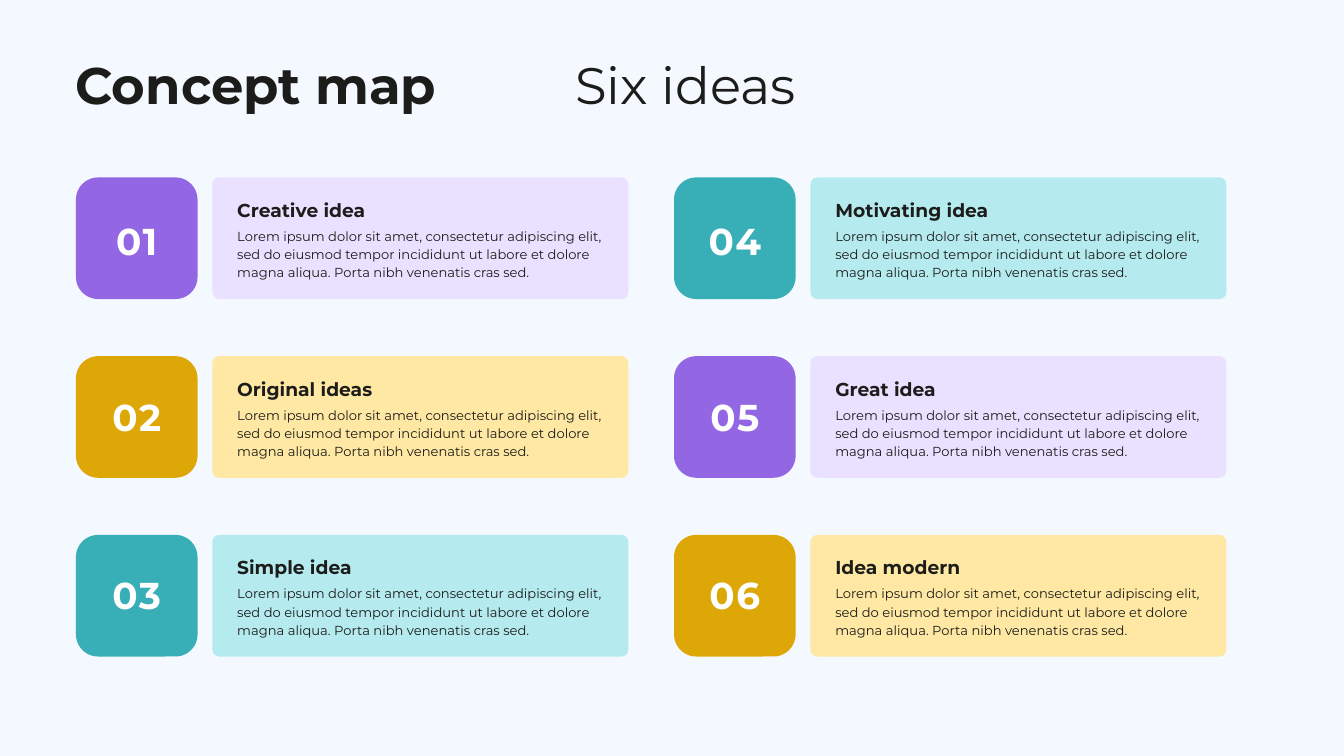
from dataclasses import dataclass

from pptx import Presentation
from pptx.dml.color import RGBColor
from pptx.enum.shapes import MSO_SHAPE
from pptx.enum.text import MSO_ANCHOR, MSO_AUTO_SIZE, PP_ALIGN
from pptx.util import Inches, Pt

FONT = "Montserrat"
INK, WHITE, BACKGROUND = "1C1C1A", "FFFFFF", "F4F8FF"
LOREM = (
    "Lorem ipsum dolor sit amet, consectetur adipiscing elit, sed do eiusmod "
    "tempor incididunt ut labore et dolore magna aliqua. "
    "Porta nibh venenatis cras sed."
)

# Grid of idea cards, in inches
LEFT, TOP = 1.13, 2.64
COL_STEP, ROW_STEP = 8.9, 2.66
BADGE = 1.81
PANEL_X, PANEL_W = 2.03, 6.19
TEXT_X = 2.4


@dataclass(frozen=True)
class Palette:
    strong: str
    soft: str


PURPLE = Palette("9366E4", "EAE0FF")
GOLD = Palette("DDA707", "FFE8A3")
TEAL = Palette("38AEB6", "B5EBEF")


@dataclass(frozen=True)
class Idea:
    col: int
    row: int
    title: str
    palette: Palette

    @property
    def number(self) -> str:
        return f"{self.col * 3 + self.row + 1:02d}"


IDEAS = [
    Idea(0, 0, "Creative idea", PURPLE),
    Idea(0, 1, "Original ideas", GOLD),
    Idea(0, 2, "Simple idea", TEAL),
    Idea(1, 0, "Motivating idea", TEAL),
    Idea(1, 1, "Great idea", PURPLE),
    Idea(1, 2, "Idea modern", GOLD),
]


def rgb(value: str) -> RGBColor:
    return RGBColor.from_string(value)


def add_text(s, text: str, x: float, y: float, w: float, h: float, *,
             size: float, leading: float, color: str = INK, bold: bool = False,
             align=PP_ALIGN.LEFT, spacing: float = 0, sp=None):
    """Write text into sp, or into a new text box, at the given place."""
    box = [Inches(v) for v in (x, y, w, h)]
    if sp is None:
        sp = s.shapes.add_textbox(*box)
    else:
        sp.left, sp.top, sp.width, sp.height = box
    tf = sp.text_frame
    tf.word_wrap = True
    tf.auto_size = MSO_AUTO_SIZE.NONE
    tf.vertical_anchor = MSO_ANCHOR.TOP
    tf.margin_left = tf.margin_right = tf.margin_top = tf.margin_bottom = 0
    p = tf.paragraphs[0]
    p.alignment = align
    p.line_spacing = Pt(leading)
    r = p.add_run()
    r.text = text
    r.font.name = FONT
    r.font.size = Pt(size)
    r.font.bold = bold
    r.font.color.rgb = rgb(color)
    if spacing:
        r._r.get_or_add_rPr().set("spc", str(round(spacing * 100)))
    return sp


def add_tile(s, x: float, y: float, w: float, h: float, fill: str, radius: float):
    sp = s.shapes.add_shape(MSO_SHAPE.ROUNDED_RECTANGLE,
                            Inches(x), Inches(y), Inches(w), Inches(h))
    sp.adjustments[0] = radius / min(w, h)
    sp.shadow.inherit = False
    sp.fill.solid()
    sp.fill.fore_color.rgb = rgb(fill)
    sp.line.fill.background()
    return sp


def add_idea(s, idea: Idea) -> None:
    x = LEFT + idea.col * COL_STEP
    y = TOP + idea.row * ROW_STEP
    number_drop = 0.5 if idea.row == 0 else 0.45
    add_tile(s, x, y, BADGE, BADGE, idea.palette.strong, radius=0.33)
    add_tile(s, x + PANEL_X, y, PANEL_W, BADGE, idea.palette.soft, radius=0.1)
    add_text(s, idea.number, x + 0.34, y + number_drop, 1.13, 0.73, size=40,
             leading=56, color=WHITE, bold=True, align=PP_ALIGN.CENTER, spacing=1.7)
    add_text(s, idea.title, x + TEXT_X, y + 0.26, 5.25, 0.36,
             size=20, leading=28, bold=True)
    add_text(s, LOREM, x + TEXT_X, y + 0.72, 5.45, 0.8, size=14, leading=19.6)


def main() -> None:
    prs = Presentation()
    prs.slide_width, prs.slide_height = Inches(20), Inches(11.25)
    s = prs.slides.add_slide(prs.slide_layouts[5])
    s.background.fill.solid()
    s.background.fill.fore_color.rgb = rgb(BACKGROUND)

    add_text(s, "Concept map", 1.12, 0.9, 7.71, 0.84,
             size=55, leading=58.3, bold=True, sp=s.shapes.title)
    add_text(s, "Six ideas", 8.56, 0.9, 7.71, 0.84, size=55, leading=58.3)
    for idea in IDEAS:
        add_idea(s, idea)

    prs.save("out.pptx")


if __name__ == "__main__":
    main()
